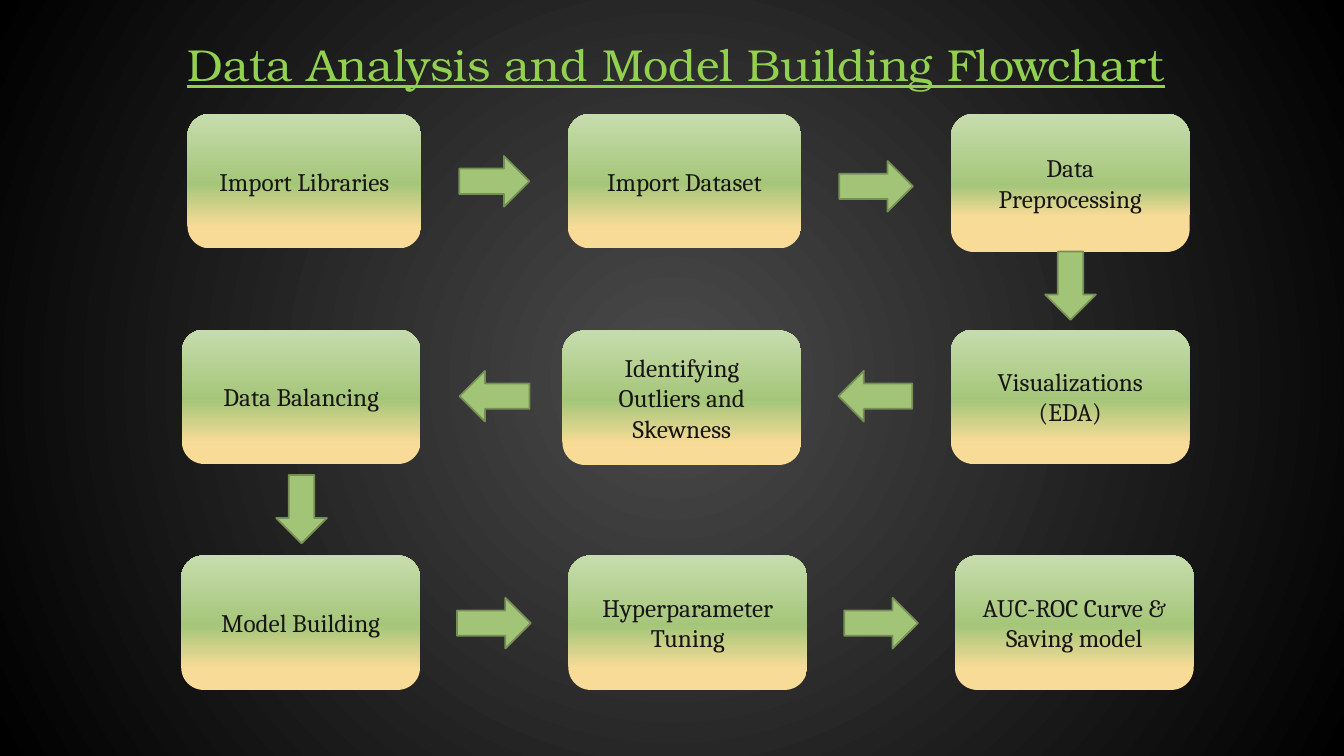
from dataclasses import dataclass

from lxml.etree import SubElement
from pptx import Presentation
from pptx.dml.color import RGBColor
from pptx.enum.shapes import MSO_SHAPE
from pptx.enum.text import MSO_ANCHOR, PP_ALIGN
from pptx.oxml.ns import qn
from pptx.util import Pt

RIGHT, LEFT, DOWN = MSO_SHAPE.RIGHT_ARROW, MSO_SHAPE.LEFT_ARROW, MSO_SHAPE.DOWN_ARROW
TITLE = dict(size=Pt(32), name="TeX Gyre Bonum", underline=True)
LABEL = dict(size=Pt(18), name="Cambria")
TOP, MID, LOW = 81.4, 235.4, 396.8


@dataclass
class Step:
    text: str
    x: float
    y: float
    w: float = 170.6
    h: float = 96
    sand: int = 16  # percent where the sand colour ends


@dataclass
class Arrow:
    kind: MSO_SHAPE
    x: float
    y: float
    w: float = 52.6
    h: float = 36.2


STEPS = [
    Step("Import Libraries", 133.9, TOP, 167),
    Step("Import Dataset", 405.4, TOP, 167),
    Step("Data Preprocessing", 679.2, TOP, h=98.6, sand=26),
    Step("Visualizations\n(EDA)", 679.2, MID),
    Step("Identifying Outliers and Skewness", 401.8, MID + 0.7),
    Step("Data Balancing", 129.9, MID),
    Step("Model Building", 129.5, LOW),
    Step("Hyperparameter Tuning", 406, LOW),
    Step("AUC-ROC Curve & Saving model", 682.1, LOW),
]
ARROWS = [
    Arrow(RIGHT, 328.1, 111.4, 50),
    Arrow(RIGHT, 599.5, 115),
    Arrow(DOWN, 746.6, 179.7, 36.2, 48.8),
    Arrow(LEFT, 599, 264.9),
    Arrow(LEFT, 328.3, 264.9, 50),
    Arrow(DOWN, 197.3, 339.3, 36.2, 48.8),
    Arrow(RIGHT, 326.5, 427),
    Arrow(RIGHT, 603.1, 427),
]


def color(code: str) -> RGBColor:
    return RGBColor.from_string(code)


def blend(owner, stops: list, ray: bool = False) -> None:
    """Give the owner a gradient: radial from its centre, or rising."""
    owner.fill.gradient()
    node = next(owner._element.iter(qn("a:gradFill")))
    for child in list(node):
        node.remove(child)
    group = SubElement(node, qn("a:gsLst"))
    for pos, code in stops:
        stop = SubElement(group, qn("a:gs"), pos=str(pos * 1000))
        SubElement(stop, qn("a:srgbClr"), val=code)
    if ray:
        way = SubElement(node, qn("a:path"), path="circle")
        SubElement(way, qn("a:fillToRect"), {side: "50000" for side in "ltrb"})
    else:
        SubElement(node, qn("a:lin"), ang="16200000", scaled="0")


def write(shape, text: str, style: dict, code: str, inset: float) -> None:
    frame = shape.text_frame
    frame.word_wrap = True
    frame.margin_left = frame.margin_right = Pt(inset)
    frame.margin_top = frame.margin_bottom = Pt(3.6)
    frame.text = text
    for para in frame.paragraphs:
        para.alignment = PP_ALIGN.CENTER
        for key, value in style.items():
            setattr(para.font, key, value)
        para.font.color.rgb = color(code)


def place(slide, kind: MSO_SHAPE, item):
    shape = slide.shapes.add_shape(kind, Pt(item.x), Pt(item.y), Pt(item.w), Pt(item.h))
    shape.shadow.inherit = False
    return shape


def add_step(slide, step: Step) -> None:
    shape = place(slide, MSO_SHAPE.ROUNDED_RECTANGLE, step)
    blend(shape, [(step.sand, "F7DB97"), (48, "A5C67A"), (100, "C7DCAD")])
    shape.line.fill.background()
    shape.text_frame.vertical_anchor = MSO_ANCHOR.MIDDLE
    write(shape, step.text, LABEL, "191513", 10.5)


def add_arrow(slide, arrow: Arrow) -> None:
    shape = place(slide, arrow.kind, arrow)
    shape.fill.solid()
    shape.fill.fore_color.rgb = color("A2C476")
    shape.line.color.rgb = color("768F56")
    shape.line.width = Pt(1.25)


def main() -> None:
    deck = Presentation()
    deck.slide_width, deck.slide_height = Pt(960), Pt(540)
    slide = deck.slides.add_slide(deck.slide_layouts[6])

    # Background
    slide.background.fill.gradient()

    @dataclass
    class Back:
        fill: object
        _element: object

    blend(Back(slide.background.fill, slide._element),
          [(0, "4B4B4B"), (100, "000000")], ray=True)

    # Title
    title = slide.shapes.add_textbox(Pt(43.9), Pt(23), Pt(878.4), Pt(81.4))
    write(title, "Data Analysis and Model Building Flowchart", TITLE, "92D050", 3.6)

    # Flow
    for step in STEPS:
        add_step(slide, step)
    for arrow in ARROWS:
        add_arrow(slide, arrow)

    deck.save("out.pptx")


if __name__ == "__main__":
    main()
